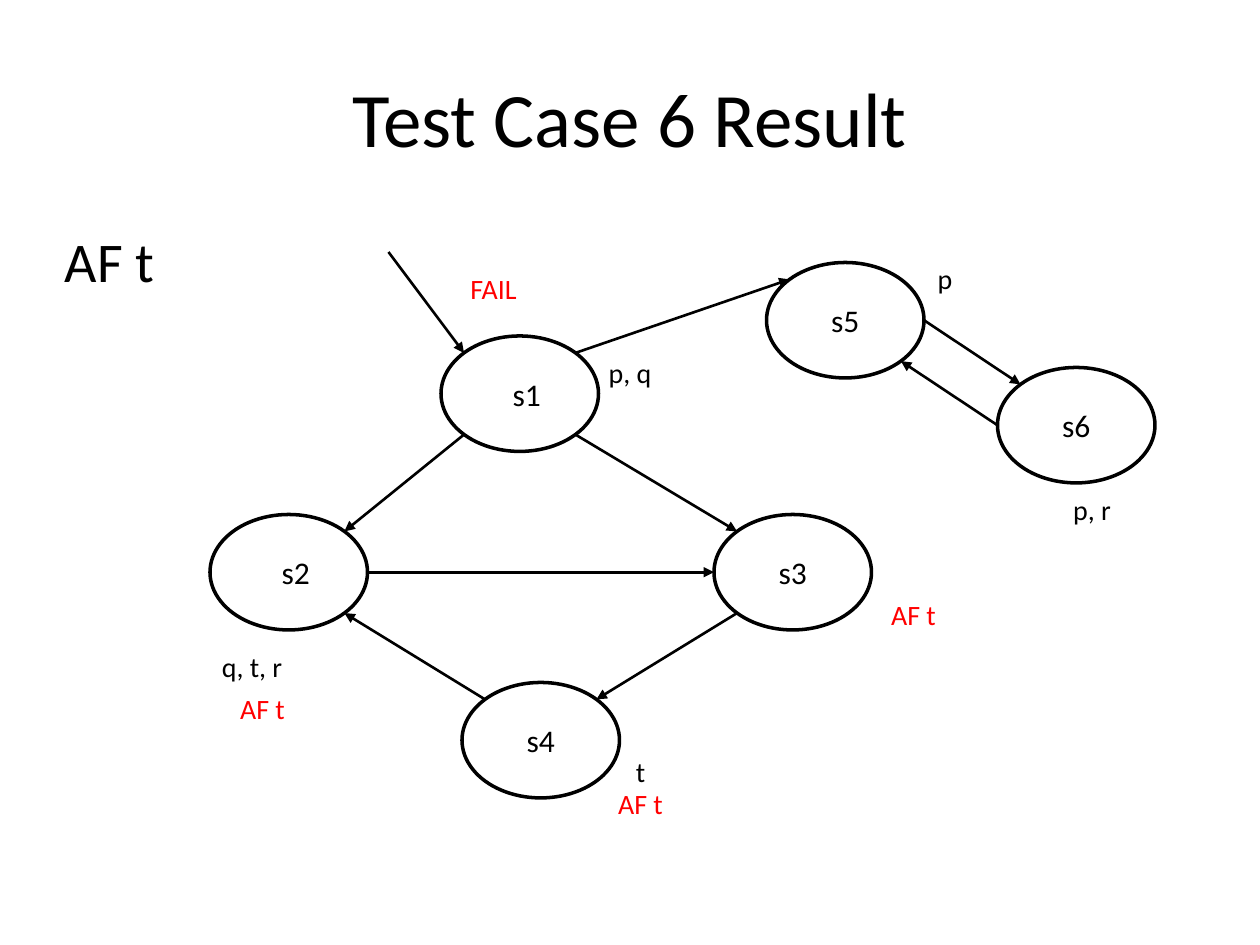
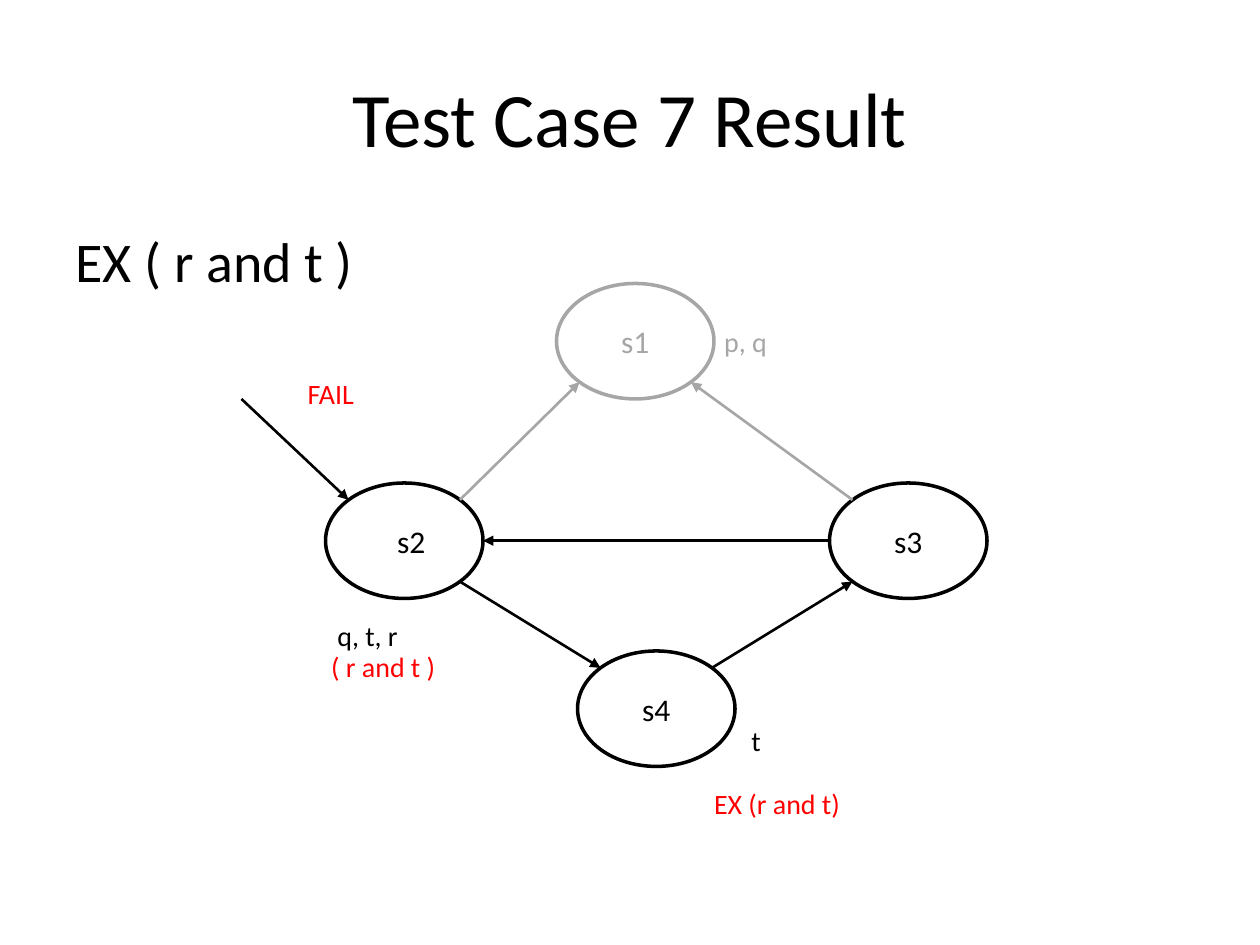
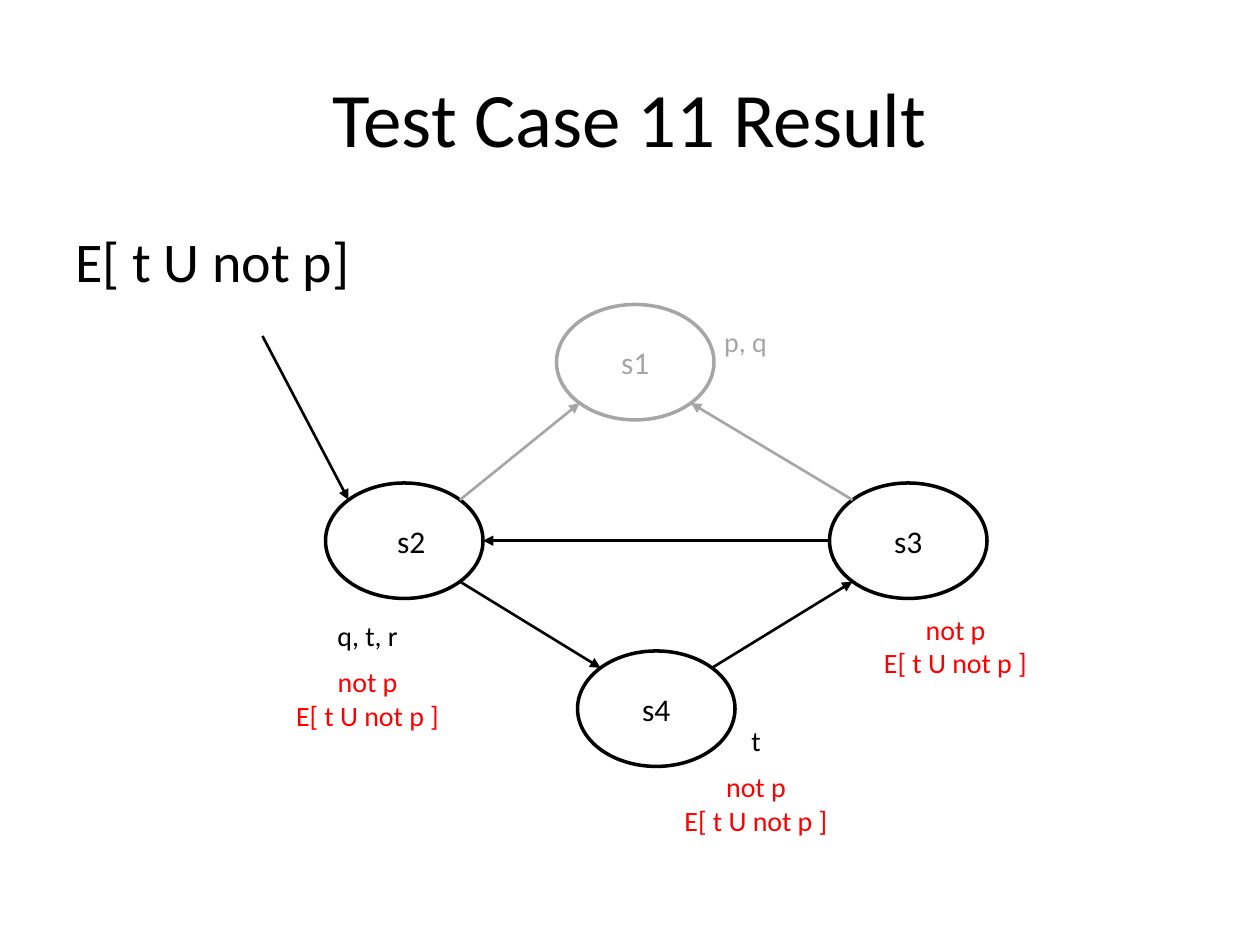
from math import sqrt

from pptx import Presentation
from pptx.dml.color import RGBColor
from pptx.enum.shapes import MSO_CONNECTOR as Connector, MSO_SHAPE as Shape
from pptx.enum.text import MSO_ANCHOR as Anchor, PP_ALIGN as Align
from pptx.oxml.ns import qn
from pptx.util import Inches, Pt
from lxml.etree import SubElement

WIDTH, HEIGHT = Inches(10), Inches(7.5)
COLUMN, ROW = WIDTH / 120, HEIGHT / 90
FONT = "Calibri"
BLACK, WHITE, GREY, RED = "000000", "FFFFFF", "A6A6A6", "FF0000"
STATE_WIDTH, STATE_HEIGHT = 15, 11
LABEL_SIZE = (10, 7)
SIDES = {"top": (0, -1), "left": (-1, 0), "bottom": (0, 1), "right": (1, 0)}


def color(hex_text):
    return RGBColor.from_string(hex_text)


def to_grid(column, row):
    return round(column * COLUMN), round(row * ROW)


def write(shape, text, size, ink=BLACK, align=Align.CENTER, anchor=Anchor.MIDDLE):
    frame = shape.text_frame
    frame.text = text
    frame.word_wrap = True
    frame.vertical_anchor = anchor
    for para in frame.paragraphs:
        para.alignment = align
        for span in para.runs:
            span.font.name = FONT
            span.font.size = Pt(size)
            span.font.color.rgb = color(ink)


def add_text(page, text, place, extent, size, **style):
    box = page.shapes.add_textbox(*to_grid(*place), *to_grid(*extent))
    write(box, text, size, **style)


def add_label(page, text, place, ink=BLACK, extent=LABEL_SIZE):
    add_text(page, text, place, extent, 16, ink=ink)


def add_state(page, name, place, ink=BLACK, nudge=0):
    """Draw a state as an ellipse; nudge (inches) widens the left inset of its name."""
    oval = page.shapes.add_shape(
        Shape.OVAL, *to_grid(*place), *to_grid(STATE_WIDTH, STATE_HEIGHT))
    oval.shadow.inherit = False
    oval.fill.solid()
    oval.fill.fore_color.rgb = color(WHITE)
    oval.line.color.rgb = color(ink)
    oval.line.width = Pt(2)
    write(oval, name, 18, ink)
    oval.text_frame.margin_left = Inches(0.1 + nudge)


def rim(place, side):
    """Point on the rim of the state at place, such as "left" or "top right"."""
    steps = [SIDES[word] for word in side.split()]
    reach = 0.5 / sqrt(len(steps))
    across, down = (sum(axis) for axis in zip(*steps))
    return (place[0] + STATE_WIDTH * (0.5 + across * reach),
            place[1] + STATE_HEIGHT * (0.5 + down * reach))


def add_arrow(page, start, end, ink=BLACK):
    arrow = page.shapes.add_connector(
        Connector.STRAIGHT, *to_grid(*start), *to_grid(*end))
    arrow.line.color.rgb = color(ink)
    arrow.line.width = Pt(1.5)
    SubElement(arrow.line._get_or_add_ln(), qn("a:tailEnd"), type="triangle")
    SubElement(arrow._element.spPr, qn("a:effectLst"))


def add_graph(page, states, edges, entry, first, nudged, faded=()):
    """Draw states and edges, and the entry arrow into the first state."""
    def ink_for(*names):
        return GREY if set(names) & set(faded) else BLACK

    for name, place in states.items():
        add_state(page, name, place, ink_for(name), 0.11 if name in nudged else 0)
    for source, source_side, target, target_side in edges:
        add_arrow(page, rim(states[source], source_side),
                  rim(states[target], target_side), ink_for(source, target))
    add_arrow(page, entry, rim(states[first], "top left"))


def add_page(deck, number, formula, formula_column=6):
    page = deck.slides.add_slide(deck.slide_layouts[6])
    add_text(page, f"Test Case {number} Result", (6, 3.6), (108, 15), 44)
    add_text(page, formula, (formula_column, 21), (108, 59.4), 32,
             align=Align.LEFT, anchor=Anchor.TOP)
    return page


def add_six_state_graph(page):
    states = {"s4": (44, 65), "s3": (68, 49), "s2": (20, 49),
              "s1": (42, 32), "s6": (95, 35), "s5": (73, 25)}
    edges = [
        ("s1", "bottom left", "s2", "top right"),
        ("s1", "bottom right", "s3", "top left"),
        ("s3", "bottom left", "s4", "top right"),
        ("s4", "top left", "s2", "bottom right"),
        ("s2", "right", "s3", "left"),
        ("s1", "top right", "s5", "top left"),
        ("s5", "right", "s6", "top left"),
        ("s6", "left", "s5", "bottom right"),
    ]
    add_graph(page, states, edges, (37, 24), "s1", nudged=("s1", "s2"))
    for text, place in [("p, q", (55, 32)), ("t", (56, 70)), ("q, t, r", (19, 60)),
                        ("p", (85, 23)), ("p, r", (99, 45))]:
        add_label(page, text, place)


def add_four_state_graph(page, s1_row, entry):
    states = {"s4": (55, 62), "s3": (79, 46), "s2": (31, 46), "s1": (53, s1_row)}
    edges = [
        ("s2", "top right", "s1", "bottom left"),
        ("s3", "top left", "s1", "bottom right"),
        ("s4", "top right", "s3", "bottom left"),
        ("s2", "bottom right", "s4", "top left"),
        ("s3", "left", "s2", "right"),
    ]
    add_graph(page, states, edges, entry, "s2", nudged=("s2",), faded=("s1",))
    add_label(page, "p, q", (66, 29), GREY)
    add_label(page, "t", (67, 67))
    add_label(page, "q, t, r", (30, 57))


def main():
    deck = Presentation()
    deck.slide_width, deck.slide_height = WIDTH, HEIGHT

    page = add_page(deck, 6, "AF t", formula_column=5)
    add_six_state_graph(page)
    for place in [(56, 73), (82, 55), (20, 64)]:
        add_label(page, "AF t", place, RED)
    add_label(page, "FAIL", (42, 24), RED)

    page = add_page(deck, 7, "EX ( r and t )")
    add_four_state_graph(page, s1_row=27, entry=(23, 38))
    add_label(page, "( r and t )", (30, 60), RED, (13, 7))
    add_label(page, "EX (r and t)", (66, 73), RED, (16, 7))
    add_label(page, "FAIL", (25, 34), RED, (13, 7))

    page = add_page(deck, 11, "E[ t U not p]")
    add_four_state_graph(page, s1_row=29, entry=(25, 32))
    for place in [(25, 62), (62, 72), (81, 57)]:
        add_label(page, "not p\nE[ t U not p ]", place, RED, (20, 9))

    deck.save("out.pptx")


if __name__ == "__main__":
    main()
